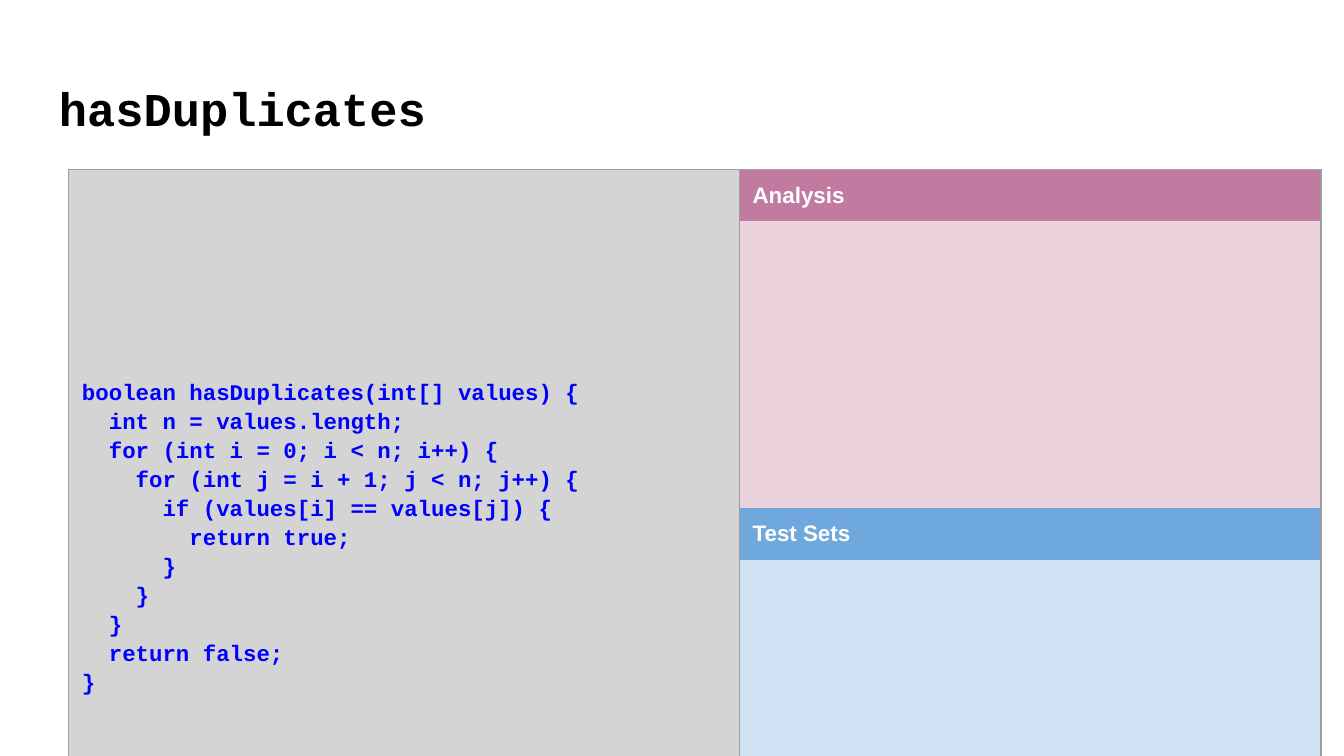
from dataclasses import dataclass

import lxml.etree
import pptx
import pptx.dml.color
import pptx.enum.text
import pptx.oxml.ns
import pptx.util


@dataclass(frozen=True)
class Theme:
    black: str = "000000"
    white: str = "FFFFFF"
    code_ink: str = "0000FF"
    code_fill: str = "D4D4D4"
    border: str = "9E9E9E"
    code_font: str = "Courier New"
    heading_font: str = "Arial"
    title_size: float = 25.2
    body_size: float = 12
    border_width: float = 0.75
    inset: float = 0.1


@dataclass(frozen=True)
class Band:
    height: float
    fill: str
    heading: str = ""


THEME = Theme()
WIDTH = 10
HEIGHT = WIDTH * 9 / 16
COLUMNS = (4.99, 4.33)
BANDS = (
    Band(0.34, "C27BA0", "Analysis"),
    Band(2.13, "EAD1DC"),
    Band(0.34, "6FA8DC", "Test Sets"),
    Band(0.82, "CFE2F3"),
)
CODE = """boolean hasDuplicates(int[] values) {
  int n = values.length;
  for (int i = 0; i < n; i++) {
    for (int j = i + 1; j < n; j++) {
      if (values[i] == values[j]) {
        return true;
      }
    }
  }
  return false;
}"""


def across(share: float) -> int:
    return pptx.util.Inches(WIDTH * share)


def down(share: float) -> int:
    return pptx.util.Inches(HEIGHT * share)


def color(value: str) -> pptx.dml.color.RGBColor:
    return pptx.dml.color.RGBColor.from_string(value)


def write(paragraph, text: str, face: str, size: float, ink: str) -> None:
    paragraph.text = text
    for run in paragraph.runs:
        run.font.name = face
        run.font.size = pptx.util.Pt(size)
        run.font.bold = True
        run.font.color.rgb = color(ink)


def set_insets(holder) -> None:
    inset = pptx.util.Inches(THEME.inset)
    holder.margin_left = holder.margin_right = inset
    holder.margin_top = holder.margin_bottom = inset


def set_borders(cell, visible: str) -> None:
    properties = cell._tc.get_or_add_tcPr()
    qn = pptx.oxml.ns.qn
    for side in "LRTB":
        line = lxml.etree.SubElement(properties, qn(f"a:ln{side}"))
        line.set("w", str(pptx.util.Pt(THEME.border_width)))
        if side in visible:
            paint = lxml.etree.SubElement(line, qn("a:solidFill"))
            lxml.etree.SubElement(paint, qn("a:srgbClr")).set("val", THEME.border)
        else:
            lxml.etree.SubElement(line, qn("a:noFill"))


def style_cell(cell, fill: str, visible: str) -> None:
    set_insets(cell)
    set_borders(cell, visible)
    cell.fill.solid()
    cell.fill.fore_color.rgb = color(fill)


def add_title(slide, text: str) -> None:
    title = slide.shapes.add_textbox(
        across(0.034), down(0.087), across(0.932), down(0.112)
    )
    frame = title.text_frame
    frame.word_wrap = True
    set_insets(frame)
    write(frame.paragraphs[0], text, THEME.code_font, THEME.title_size, THEME.black)


def add_worksheet(slide) -> None:
    table = slide.shapes.add_table(
        len(BANDS), len(COLUMNS), across(0.051), down(0.224),
        pptx.util.Inches(sum(COLUMNS)),
        pptx.util.Inches(sum(band.height for band in BANDS)),
    ).table
    table.first_row = table.horz_banding = False
    for column, width in zip(table.columns, COLUMNS):
        column.width = pptx.util.Inches(width)
    for index, band in enumerate(BANDS):
        table.rows[index].height = pptx.util.Inches(band.height)
        visible = "LR" + "T" * (index == 0) + "B" * (index == len(BANDS) - 1)
        style_cell(table.cell(index, 0), THEME.code_fill, visible)
        topic = table.cell(index, 1)
        style_cell(topic, band.fill, visible)
        if band.heading:
            write(topic.text_frame.paragraphs[0], band.heading,
                  THEME.heading_font, THEME.body_size, THEME.white)

    listing = table.cell(0, 0)
    listing.merge(table.cell(len(BANDS) - 1, 0))
    listing.vertical_anchor = pptx.enum.text.MSO_ANCHOR.MIDDLE
    code = listing.text_frame.paragraphs[0]
    code.line_spacing = 1.15
    code.space_after = pptx.util.Pt(12)
    write(code, CODE, THEME.code_font, THEME.body_size, THEME.code_ink)


def main() -> None:
    deck = pptx.Presentation()
    deck.slide_width = across(1)
    deck.slide_height = down(1)
    slide = deck.slides.add_slide(deck.slide_layouts[6])
    add_worksheet(slide)
    add_title(slide, "hasDuplicates")
    deck.save("out.pptx")


if __name__ == "__main__":
    main()
